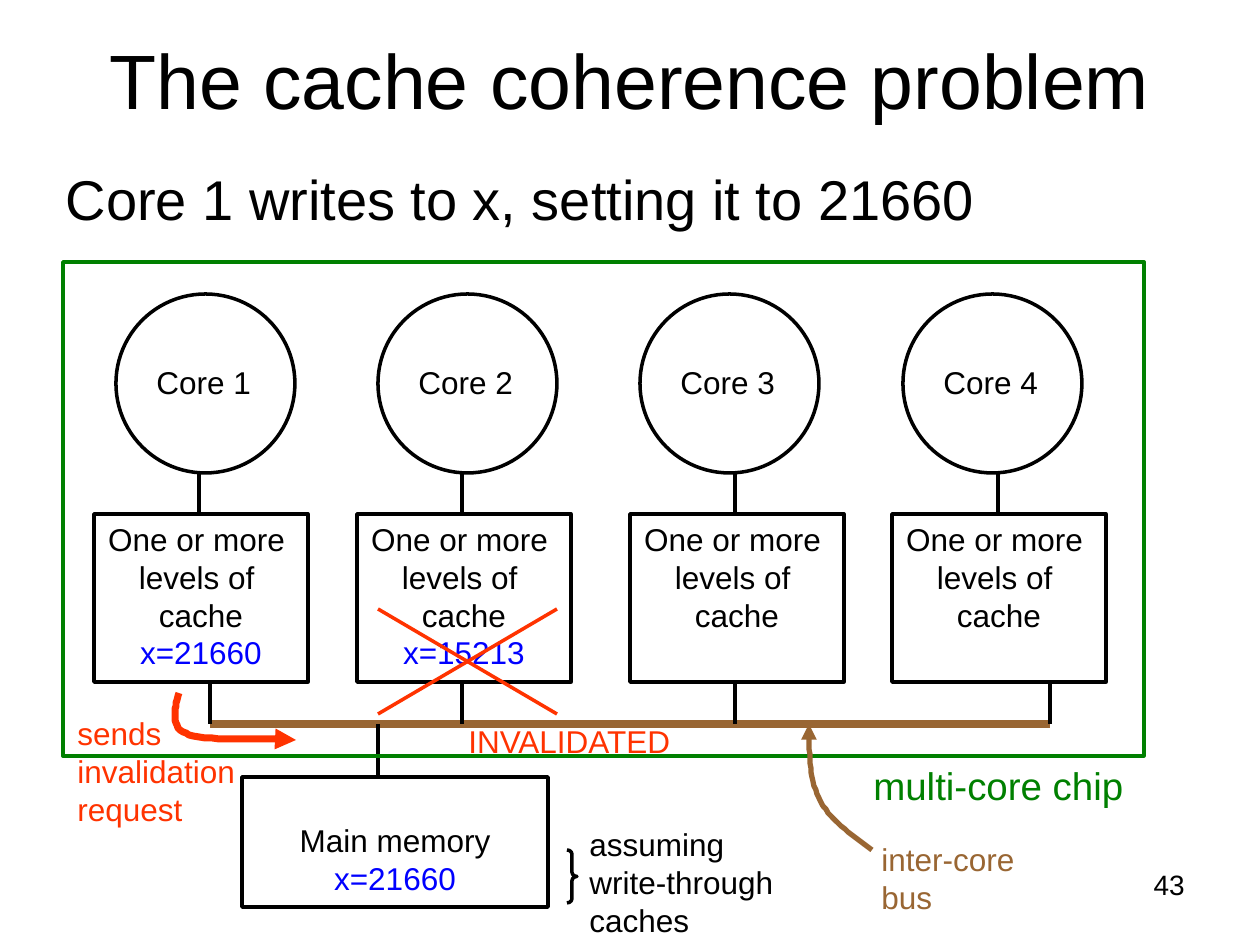
from pptx import Presentation
from pptx.dml.color import RGBColor
from pptx.enum.shapes import MSO_CONNECTOR, MSO_SHAPE
from pptx.enum.text import MSO_ANCHOR, MSO_AUTO_SIZE, PP_ALIGN
from pptx.oxml.ns import qn
from pptx.util import Pt
from lxml.etree import SubElement

SCALE = 914400 / 126
HUES = {"ink": "000000", "data": "0000FF", "chip": "008000",
        "bus": "996633", "alert": "FF3300"}


def emu(*vals):
    """Turn pixels into EMU."""
    return [round(v * SCALE) for v in vals]


def bezier(a, b, c, d, steps=16):
    """Points of a cubic curve after its start."""
    for i in range(1, steps + 1):
        t = i / steps
        u = 1 - t
        yield tuple(u**3 * p + 3 * u * u * t * q + 3 * u * t * t * r + t**3 * s
                    for p, q, r, s in zip(a, b, c, d))


class Pen:
    """Style and current slide."""

    font = "Arial"

    def __init__(self, slide):
        """Keep the slide to draw on."""
        self.slide = slide
        self.shapes = slide.shapes

    def words(self, frame, paras, size=18, align=PP_ALIGN.LEFT):
        """Fill a frame with (text, hue) paragraphs; newlines are breaks."""
        for i, (text, hue) in enumerate(paras):
            para = frame.add_paragraph() if i else frame.paragraphs[0]
            para.alignment = align
            for j, row in enumerate(text.split("\n")):
                if j:
                    para.add_line_break()
                run = para.add_run()
                run.text = row
                run.font.name = self.font
                run.font.size = Pt(size)
                run.font.color.rgb = RGBColor.from_string(HUES[hue])

    def holder(self, idx, box, text, size, align, anchor):
        """Move and fill a placeholder."""
        shape = self.slide.placeholders[idx]
        shape.left, shape.top, shape.width, shape.height = emu(*box)
        frame = shape.text_frame
        frame.auto_size = MSO_AUTO_SIZE.NONE
        frame.vertical_anchor = anchor
        self.words(frame, [(text, "ink")], size, align)
        return frame.paragraphs[0]

    def label(self, box, text, hue="ink", size=18, align=PP_ALIGN.LEFT):
        """Add a free text label."""
        frame = self.shapes.add_textbox(*emu(*box)).text_frame
        frame.word_wrap = align == PP_ALIGN.RIGHT
        if not frame.word_wrap:
            frame.auto_size = MSO_AUTO_SIZE.SHAPE_TO_FIT_TEXT
        self.words(frame, [(text, hue)], size, align)

    def stroke(self, shape, hue, width):
        """Set the line of a shape."""
        shape.line.color.rgb = RGBColor.from_string(HUES[hue])
        shape.line.width = Pt(width)

    def shape(self, kind, box, hue="ink", paras=(), inset=6):
        """Add an outlined preset shape, with text from the top."""
        shape = self.shapes.add_shape(kind, *emu(*box))
        shape.shadow.inherit = False
        shape.fill.background()
        self.stroke(shape, hue, 2)
        frame = shape.text_frame
        frame.word_wrap = False
        frame.vertical_anchor = MSO_ANCHOR.TOP
        frame.margin_top = emu(inset)[0]
        self.words(frame, paras, align=PP_ALIGN.CENTER)
        return shape

    def link(self, x1, y1, x2, y2, hue="ink", width=2):
        """Add a straight line."""
        line = self.shapes.add_connector(MSO_CONNECTOR.STRAIGHT,
                                         *emu(x1, y1, x2, y2))
        self.stroke(line, hue, width)
        SubElement(line._element.spPr, qn("a:effectLst"))

    def curve(self, pts, hue, width):
        """Add a curved arrow through chained cubic curves."""
        trace = self.shapes.build_freeform(*pts[0], scale=SCALE)
        for i in range(0, len(pts) - 1, 3):
            trace.add_line_segments(list(bezier(*pts[i:i + 4])), close=False)
        shape = trace.convert_to_shape()
        shape.shadow.inherit = False
        shape.fill.background()
        self.stroke(shape, hue, width)
        SubElement(shape._element.spPr.find(qn("a:ln")), qn("a:tailEnd"),
                   type="triangle")


deck = Presentation()
deck.slide_width, deck.slide_height = emu(1260, 945)
pen = Pen(deck.slides.add_slide(deck.slide_layouts[1]))

pen.holder(0, (63, 0, 1134, 158), "The cache coherence problem", 44,
           PP_ALIGN.CENTER, MSO_ANCHOR.MIDDLE)
lead = pen.holder(1, (53, 158, 1134, 624),
                  "Core 1 writes to x, setting it to 21660", 32,
                  PP_ALIGN.LEFT, MSO_ANCHOR.TOP)
props = lead._p.get_or_add_pPr()
props.set("marL", "342900")
props.set("indent", "-342900")
SubElement(props, qn("a:buNone"))
pen.label((903, 861, 294, 66), "43", size=16, align=PP_ALIGN.RIGHT)

# Cores: circle left, cache left, upper link, lower link, cached value
BUS = 724
cores = [(116, 94, 199, 210, "x=21660"), (378, 357, 462, 462, "x=15213"),
         (640, 630, 735, 735, None), (903, 892, 998, 1050, None)]
for num, (core, cache, up, down, value) in enumerate(cores, 1):
    pen.shape(MSO_SHAPE.OVAL, (core, 294, 179, 179))
    pen.label((core + 28, 357, 120, 50), f"Core {num}")
    paras = [("One or more \nlevels of \ncache", "ink")]
    if value:
        paras.append((value, "data"))
    pen.shape(MSO_SHAPE.RECTANGLE, (cache, 514, 214, 168), paras=paras)
    pen.link(up, 473, up, 514)

pen.shape(MSO_SHAPE.RECTANGLE, (242, 777, 306, 130), inset=44,
          paras=[("Main memory", "ink"), ("x=21660", "data")])
pen.link(210, BUS, 1050, BUS, "bus", 5)
for core in cores:
    pen.link(core[3], 682, core[3], BUS)
pen.link(378, BUS, 378, 777)

pen.shape(MSO_SHAPE.RECTANGLE, (63, 262, 1081, 494), "chip")
pen.label((861, 756, 276, 59), "multi-core chip", "chip", 22)
brace = pen.shape(MSO_SHAPE.RIGHT_BRACE, (567, 850, 10, 53))
brace.adjustments[0] = 0.42
pen.label((577, 819, 218, 126), "assuming \nwrite-through \ncaches")

# Invalidation of the stale value
pen.link(378, 714, 557, 609, "alert")
pen.link(378, 609, 557, 714, "alert")
pen.label((456, 716, 232, 50), "INVALIDATED", "alert")
pen.curve([(179, 693), (174, 711), (169, 727), (189, 735),
           (209, 742), (278, 738), (296, 740)], "alert", 4)
pen.label((65, 708, 183, 126), "sends\ninvalidation\nrequest", "alert")

pen.curve([(872, 850), (850, 834), (829, 819), (819, 798),
           (809, 777), (809, 751), (809, 724)], "bus", 3)
pen.label((869, 834, 159, 88), "inter-core\nbus", "bus")

deck.save("out.pptx")
